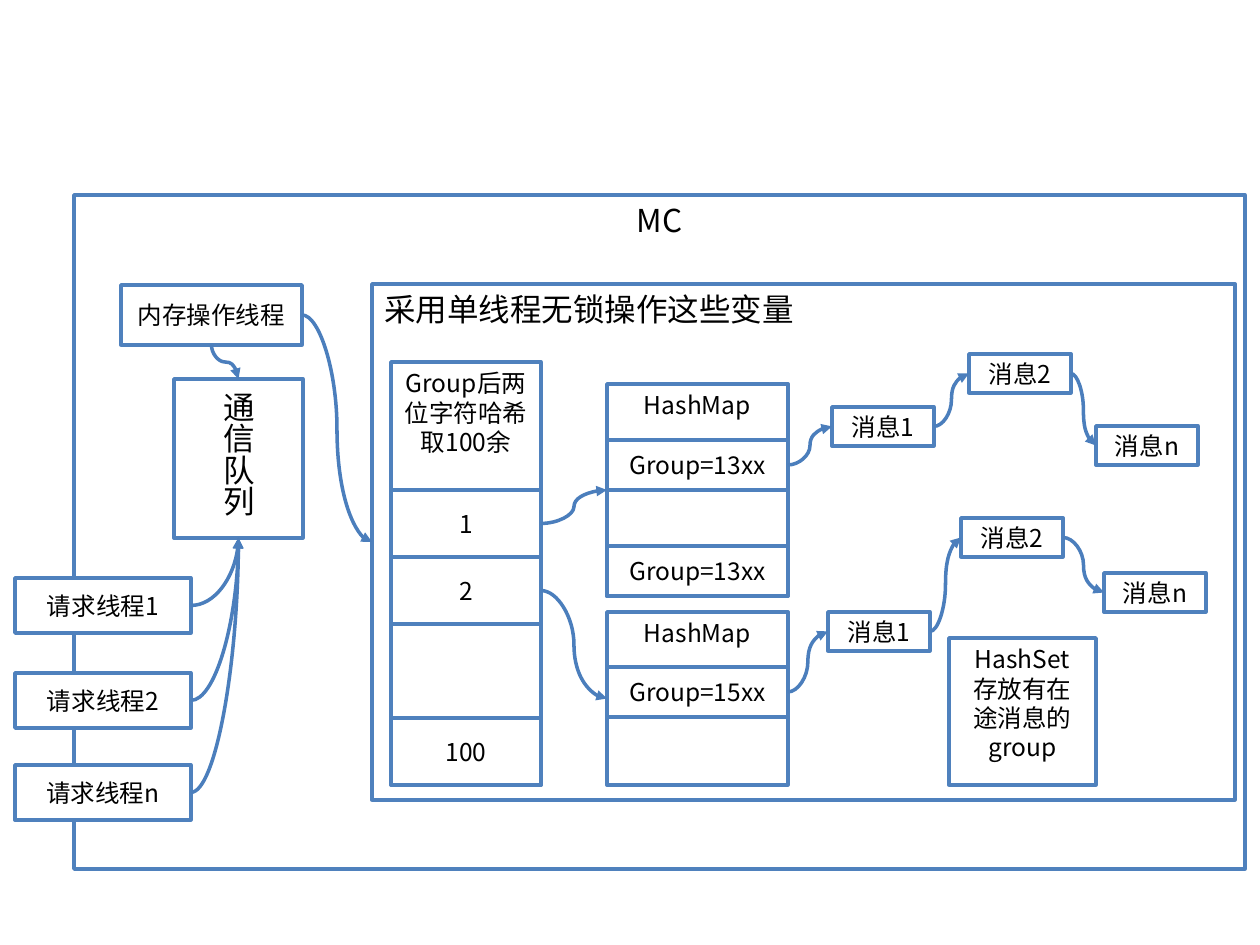
"""Build the slide that shows how the MC keeps grouped messages in memory."""
from itertools import pairwise

from lxml.etree import SubElement
from pptx import Presentation
from pptx.dml.color import RGBColor
from pptx.enum.shapes import MSO_CONNECTOR as Link, MSO_SHAPE as Preset
from pptx.enum.text import MSO_ANCHOR as Anchor, PP_ALIGN as Align
from pptx.oxml.ns import qn
from pptx.util import Pt

WHITE = RGBColor(0xFF, 0xFF, 0xFF)
BLACK = RGBColor(0, 0, 0)
BORDER = RGBColor(0x4F, 0x81, 0xBD)
ARROW = RGBColor(0x4B, 0x7E, 0xBC)
FONT = "Noto Sans CJK SC"
TOP, LEFT, BOTTOM, RIGHT = range(4)


def px(length):
    return round(length * 914400 / 126)


class Diagram:
    def __init__(self, slide):
        self.shapes = slide.shapes

    def box(self, x, y, width, height, *lines, size=14, anchor=Anchor.MIDDLE,
            align=Align.CENTER, vertical=False):
        shape = self.shapes.add_shape(
            Preset.RECTANGLE, px(x), px(y), px(width), px(height))
        shape.shadow.inherit = False
        shape.fill.solid()
        shape.fill.fore_color.rgb = WHITE
        shape.line.color.rgb = BORDER
        shape.line.width = Pt(2)
        frame = shape.text_frame
        frame.word_wrap = True
        frame.vertical_anchor = anchor
        if vertical:
            frame._txBody.bodyPr.set("vert", "eaVert")
        for index, line in enumerate(lines):
            paragraph = frame.add_paragraph() if index else frame.paragraphs[0]
            paragraph.alignment = align
            run = paragraph.add_run()
            run.text = line
            run.font.size = Pt(size)
            run.font.name = FONT
            run.font.color.rgb = BLACK
            SubElement(run.font._element, qn("a:ea"), typeface=FONT)
        return shape

    def arrow(self, source, target, start=RIGHT, end=LEFT):
        connector = self.shapes.add_connector(Link.CURVE, 0, 0, 0, 0)
        connector.begin_connect(source, start)
        connector.end_connect(target, end)
        connector.line.color.rgb = ARROW
        connector.line.width = Pt(2)
        properties = connector._element.spPr
        SubElement(connector.line._get_or_add_ln(), qn("a:tailEnd"), type="triangle")
        SubElement(properties, qn("a:effectLst"))
        if end == BOTTOM:
            properties.find(qn("a:prstGeom")).set("prst", "curvedConnector2")
        if start == BOTTOM:
            self.turn(connector)

    def turn(self, connector):
        across, down = connector.width, connector.height
        connector.left += (across - down) // 2
        connector.top += (down - across) // 2
        connector.width, connector.height = down, across
        transform = connector._element.spPr.find(qn("a:xfrm"))
        transform.set("rot", "16200000")
        transform.set("flipH", "1")


def main():
    presentation = Presentation()
    presentation.slide_width, presentation.slide_height = px(1260), px(945)
    slide = presentation.slides.add_slide(presentation.slide_layouts[6])
    diagram = Diagram(slide)

    diagram.box(74, 195, 1171, 674, "MC", size=18, anchor=Anchor.TOP)
    variables = diagram.box(372, 284, 863, 516, "采用单线程无锁操作这些变量",
                            size=18, anchor=Anchor.TOP, align=Align.LEFT)

    diagram.box(391, 362, 150, 423, "Group后两位字符哈希取100余", anchor=Anchor.TOP)
    first_slot, second_slot, _ = [
        diagram.box(391, y, 150, 67, label)
        for y, label in ((490, "1"), (557, "2"), (718, "100"))]

    hash_maps = [
        (first_slot, 384, 212, ((440, "Group=13xx"), (546, "Group=13xx")),
         ((832, 407), (969, 354), (1096, 426))),
        (second_slot, 612, 173, ((667, "Group=15xx"),),
         ((828, 612), (961, 518), (1104, 573))),
    ]
    for slot, top, height, groups, places in hash_maps:
        hash_map = diagram.box(607, top, 181, height, "HashMap", anchor=Anchor.TOP)
        entries = [diagram.box(607, y, 181, 50, label) for y, label in groups]
        messages = [diagram.box(x, y, 102, 39, f"消息{number}")
                    for (x, y), number in zip(places, "12n")]
        diagram.arrow(slot, hash_map)
        for source, target in pairwise([entries[0], *messages]):
            diagram.arrow(source, target)

    diagram.box(949, 638, 147, 147, "HashSet", "存放有在途消息的group",
                anchor=Anchor.TOP)

    memory_thread = diagram.box(121, 285, 181, 60, "内存操作线程")
    queue = diagram.box(174, 379, 129, 159, "通信队列", size=18, vertical=True)
    diagram.arrow(memory_thread, variables)
    diagram.arrow(memory_thread, queue, BOTTOM, TOP)
    for y, number in zip((578, 673, 765), "12n"):
        request = diagram.box(15, y, 176, 55, f"请求线程{number}")
        diagram.arrow(request, queue, RIGHT, BOTTOM)

    presentation.save("out.pptx")


if __name__ == "__main__":
    main()
